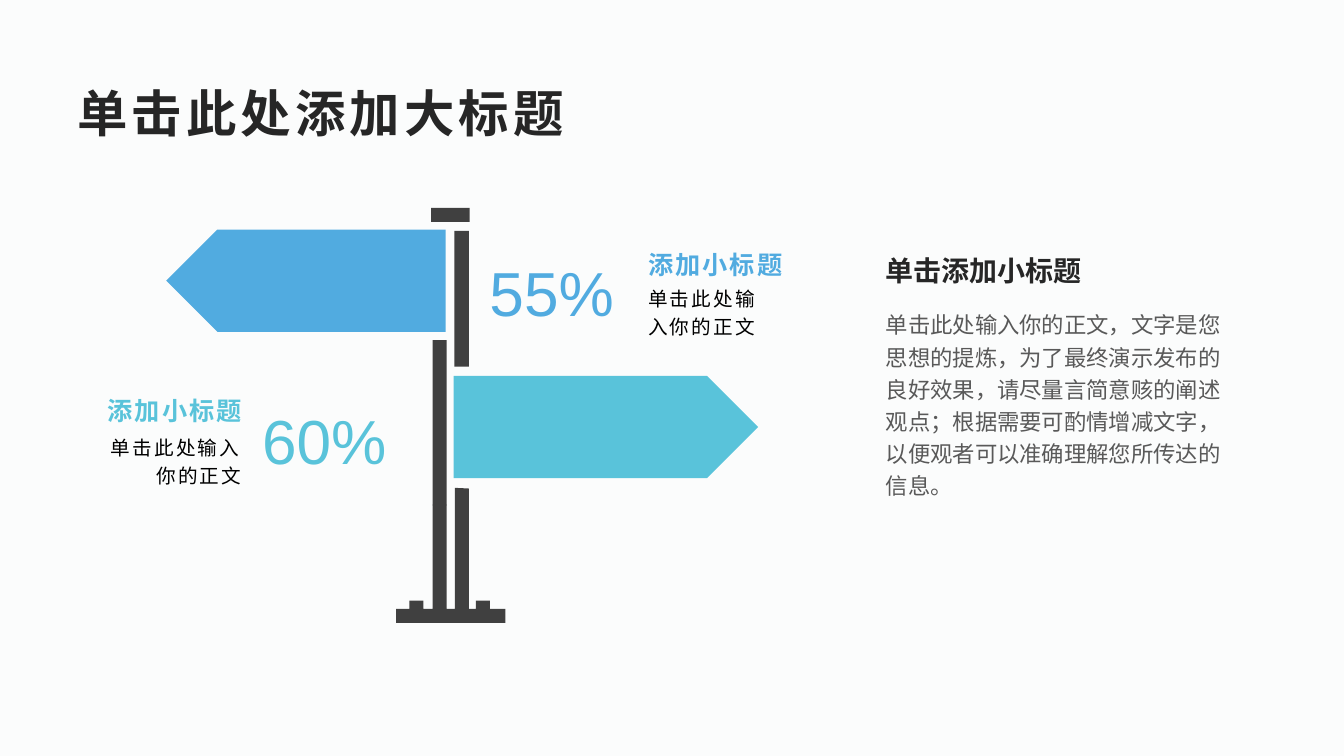
import dataclasses
import lxml.etree
import pptx
import pptx.dml.color
import pptx.enum.shapes
import pptx.enum.text
import pptx.oxml.ns
import pptx.util

Pt = pptx.util.Pt
Kind = pptx.enum.shapes.MSO_SHAPE
Align = pptx.enum.text.PP_ALIGN
Anchor = pptx.enum.text.MSO_ANCHOR
qn = pptx.oxml.ns.qn


@dataclasses.dataclass(frozen=True)
class Theme:
    font: str = "Arial"
    back: str = "FBFCFC"
    ink: str = "262626"
    gray: str = "595959"
    black: str = "000000"
    post: str = "404040"
    blue: str = "51ABE0"
    teal: str = "59C3DA"
    title: float = 36
    rate: float = 44.4
    lead: float = 20
    head: float = 18
    body: float = 16
    note: float = 14


@dataclasses.dataclass(frozen=True)
class Sign:
    rate: str
    color: str
    flip: bool
    align: Align
    arrow: tuple
    value: tuple
    head: tuple
    note: tuple
    pad: tuple


THEME = Theme()


def rgb(code):
    return pptx.dml.color.RGBColor.from_string(code)


def place(box, left, top, width, height):
    """Turn offsets in points inside a box into slide lengths."""
    return Pt(box[0] + left), Pt(box[1] + top), Pt(width), Pt(height)


def write(shape, text, size, color, bold=False, gap=0, align=Align.LEFT,
          anchor=Anchor.TOP, pad=(7.2, 3.6, 7.2, 3.6)):
    frame = shape.text_frame
    frame.word_wrap = True
    frame.auto_size = pptx.enum.text.MSO_AUTO_SIZE.NONE
    frame.vertical_anchor = anchor
    (frame.margin_left, frame.margin_top,
     frame.margin_right, frame.margin_bottom) = map(Pt, pad)
    para = frame.paragraphs[0]
    para.alignment = align
    para.line_spacing = 1.2
    para.space_before = Pt(0)
    run = para.add_run()
    run.text = text
    font = run.font
    font.name = THEME.font
    font.size = Pt(size)
    font.bold = bold
    font.color.rgb = rgb(color)
    props = run._r.get_or_add_rPr()
    lxml.etree.SubElement(props, qn("a:ea")).set("typeface", THEME.font)
    if gap:
        props.set("spc", str(int(gap * 100)))
    return para


def label(slide, spot, text, **form):
    write(slide.shapes.add_textbox(*spot), text, **form)


def paint(shape, color):
    shape.shadow.inherit = False
    shape.fill.solid()
    shape.fill.fore_color.rgb = rgb(color)
    shape.line.fill.background()


def draw_title(slide, box):
    title = slide.shapes.title
    title.left, title.top, title.width, title.height = place(box, 0, 0, *box[2:])
    write(title, "单击此处添加大标题", size=THEME.title, color=THEME.ink,
          bold=True, gap=3, anchor=Anchor.MIDDLE)


def draw_side(slide, box):
    width = box[2]
    label(slide, place(box, 0, 0, width, 34), "单击添加小标题",
          size=THEME.lead, color=THEME.ink, bold=True)
    body = slide.placeholders[1]
    body.left, body.top, body.width, body.height = place(
        box, 0, 42, width, box[3] - 42)
    para = write(
        body,
        "单击此处输入你的正文，文字是您思想的提炼，为了最终演示发布的"
        "良好效果，请尽量言简意赅的阐述观点；根据需要可酌情增减文字，"
        "以便观者可以准确理解您所传达的信息。",
        size=THEME.body, color=THEME.gray)
    props = para._p.get_or_add_pPr()
    props.set("marL", "0")
    props.set("indent", "0")
    lxml.etree.SubElement(props, qn("a:buNone"))


def draw_sign(slide, box, sign):
    # Arrow board
    arrow = slide.shapes.add_shape(Kind.PENTAGON, *place(box, *sign.arrow))
    paint(arrow, sign.color)
    if sign.flip:
        arrow._element.spPr.xfrm.set("flipH", "1")
    # Percentage and its caption
    label(slide, place(box, *sign.value), sign.rate, size=THEME.rate,
          color=sign.color, pad=sign.pad,
          align=Align.RIGHT if sign.flip else Align.LEFT)
    label(slide, place(box, *sign.head), "添加小标题", size=THEME.head,
          color=sign.color, bold=True, gap=1.5, align=sign.align,
          anchor=Anchor.MIDDLE, pad=(7.2, 3.6, 7.2, 0))
    label(slide, place(box, *sign.note), "单击此处输入你的正文",
          size=THEME.note, color=THEME.black, gap=1.5, align=sign.align,
          pad=(7.2, 0, 7.2, 3.6))


def draw_post(slide, box):
    # Cap, upper pole and lower pole
    for bar in ((25, 0, 27.5, 10), (41.5, 16.5, 10.5, 97),
                (26, 94.5, 10, 118)):
        paint(slide.shapes.add_shape(Kind.RECTANGLE, *place(box, *bar)),
              THEME.post)
    # Foot with bolts and both pole ends
    foot = [(67, 286.5), (67, 280.5), (57, 280.5), (57, 286.5),
            (52, 286.5), (52, 200.5), (42, 200), (42, 286.5),
            (36, 286.5), (36, 212), (26, 212), (26, 286.5),
            (19.5, 286.5), (19.5, 280.5), (9.5, 280.5), (9.5, 286.5),
            (0, 286.5), (0, 296.5), (78, 296.5), (78, 286.5)]
    dots = [(Pt(box[0] + x), Pt(box[1] + y)) for x, y in foot]
    path = slide.shapes.build_freeform(*dots[0], scale=1.0)
    path.add_line_segments(dots[1:], close=True)
    paint(path.convert_to_shape(), THEME.post)


def main():
    deck = pptx.Presentation()
    deck.slide_width, deck.slide_height = Pt(960), Pt(540)
    slide = deck.slides.add_slide(deck.slide_layouts[1])
    slide.background.fill.solid()
    slide.background.fill.fore_color.rgb = rgb(THEME.back)

    draw_title(slide, (48, 48, 864, 55.5))
    draw_side(slide, (625.5, 173, 256.5, 186.5))
    draw_post(slide, (283, 148.5, 78, 296.5))
    draw_sign(slide, (55.5, 164, 525, 73), Sign(
        rate="55%", color=THEME.blue, flip=True, align=Align.LEFT,
        arrow=(63.3, 0, 199.5, 73), value=(252, 7.2, 131, 58),
        head=(400.3, 7.2, 124, 27.5), note=(400.3, 37.5, 107, 42.5),
        pad=(0, 0, 0, 0)))
    draw_sign(slide, (55.5, 268.5, 525, 73), Sign(
        rate="60%", color=THEME.teal, flip=False, align=Align.RIGHT,
        arrow=(268.5, 0, 217.5, 73), value=(131.7, 3, 131, 67.5),
        head=(0, 7.2, 124.5, 27.5), note=(16, 39.6, 108, 42.5),
        pad=(0, 5, 5, 5)))
    deck.save("out.pptx")


if __name__ == "__main__":
    main()
